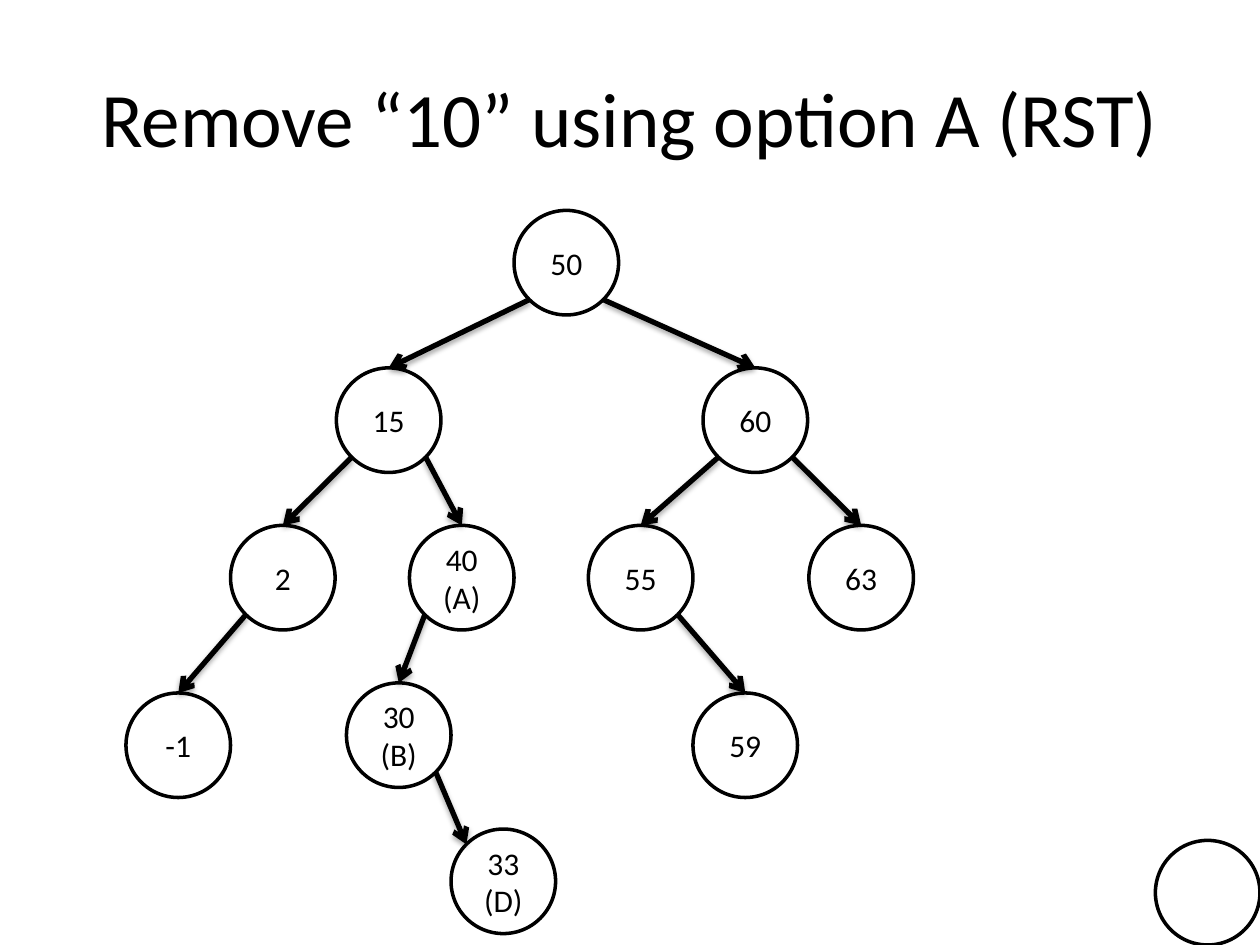
from math import sqrt

from lxml.etree import SubElement
from pptx import Presentation
from pptx.dml.color import RGBColor
from pptx.enum.shapes import MSO_CONNECTOR, MSO_SHAPE
from pptx.enum.text import MSO_ANCHOR, PP_ALIGN
from pptx.oxml.ns import qn
from pptx.util import Inches, Pt

COLORS = {"ink": "000000", "paper": "FFFFFF"}
FONT = "Calibri"
DIAMETER = 0.83
DIAGONAL = DIAMETER / 2 / sqrt(2)
TOP_SITE = 0

NODES = {
    "50": (4.08, 1.67),
    "15": (2.67, 2.92),
    "60": (5.58, 2.92),
    "2": (1.83, 4.17),
    "40 (A)": (3.25, 4.17),
    "55": (4.67, 4.17),
    "63": (6.42, 4.17),
    "-1": (1, 5.5),
    "30 (B)": (2.75, 5.42),
    "59": (5.5, 5.5),
    "33 (D)": (3.58, 6.58),
}
SPARE_NODE = (9.17, 6.67)

EDGES = [
    ("50", "15"),
    ("50", "60"),
    ("15", "2"),
    ("15", "40 (A)"),
    ("60", "55"),
    ("60", "63"),
    ("2", "-1"),
    ("40 (A)", "30 (B)"),
    ("55", "59"),
]
CORNER_EDGE = ("30 (B)", "33 (D)")


def rgb(name):
    return RGBColor.from_string(COLORS[name])


def style_paragraph(paragraph, size):
    paragraph.alignment = PP_ALIGN.CENTER
    paragraph.font.name = FONT
    paragraph.font.size = Pt(size)
    paragraph.font.color.rgb = rgb("ink")


def set_title(slide, text):
    title = slide.shapes.title
    title.left, title.top = Inches(0.5), Inches(0.3)
    title.width, title.height = Inches(9), Inches(1.25)
    title.text_frame.text = text
    title.text_frame.vertical_anchor = MSO_ANCHOR.MIDDLE
    style_paragraph(title.text_frame.paragraphs[0], 44)


def add_node(slide, position, label=""):
    left, top = position
    node = slide.shapes.add_shape(
        MSO_SHAPE.OVAL, Inches(left), Inches(top), Inches(DIAMETER), Inches(DIAMETER)
    )
    node.shadow.inherit = False
    node.fill.solid()
    node.fill.fore_color.rgb = rgb("paper")
    node.line.color.rgb = rgb("ink")
    node.line.width = Pt(2)
    if label:
        node.text_frame.text = label
        node.text_frame.vertical_anchor = MSO_ANCHOR.MIDDLE
        style_paragraph(node.text_frame.paragraphs[0], 18)
    return node


def add_soft_shadow(edge):
    effects = SubElement(edge._element.spPr, qn("a:effectLst"))
    shadow = SubElement(
        effects,
        qn("a:outerShdw"),
        blurRad=str(Pt(3.1)),
        dist=str(Pt(1.8)),
        dir="5400000",
        rotWithShape="0",
    )
    color = SubElement(shadow, qn("a:srgbClr"), val=COLORS["ink"])
    SubElement(color, qn("a:alpha"), val="35000")


def center(label):
    left, top = NODES[label]
    return left + DIAMETER / 2, top + DIAMETER / 2


def add_edge(slide, parent, child, end_offset):
    parent_x, parent_y = center(parent)
    child_x, child_y = center(child)
    side = 1 if child_x > parent_x else -1
    edge = slide.shapes.add_connector(
        MSO_CONNECTOR.STRAIGHT,
        Inches(parent_x + side * DIAGONAL),
        Inches(parent_y + DIAGONAL),
        Inches(child_x + end_offset[0]),
        Inches(child_y + end_offset[1]),
    )
    edge.line.color.rgb = rgb("ink")
    edge.line.width = Pt(3)
    SubElement(edge.line._get_or_add_ln(), qn("a:tailEnd"), type="arrow")
    add_soft_shadow(edge)
    return edge


def main():
    presentation = Presentation()
    presentation.slide_width = Inches(10)
    presentation.slide_height = Inches(7.5)
    slide = presentation.slides.add_slide(presentation.slide_layouts[5])

    set_title(slide, "Remove “10” using option A (RST)")
    add_node(slide, SPARE_NODE)
    nodes = {label: add_node(slide, position, label) for label, position in NODES.items()}
    for parent, child in EDGES:
        edge = add_edge(slide, parent, child, (0, -DIAMETER / 2))
        edge.end_connect(nodes[child], TOP_SITE)
    add_edge(slide, *CORNER_EDGE, (-DIAGONAL, -DIAGONAL))

    presentation.save("out.pptx")


if __name__ == "__main__":
    main()
